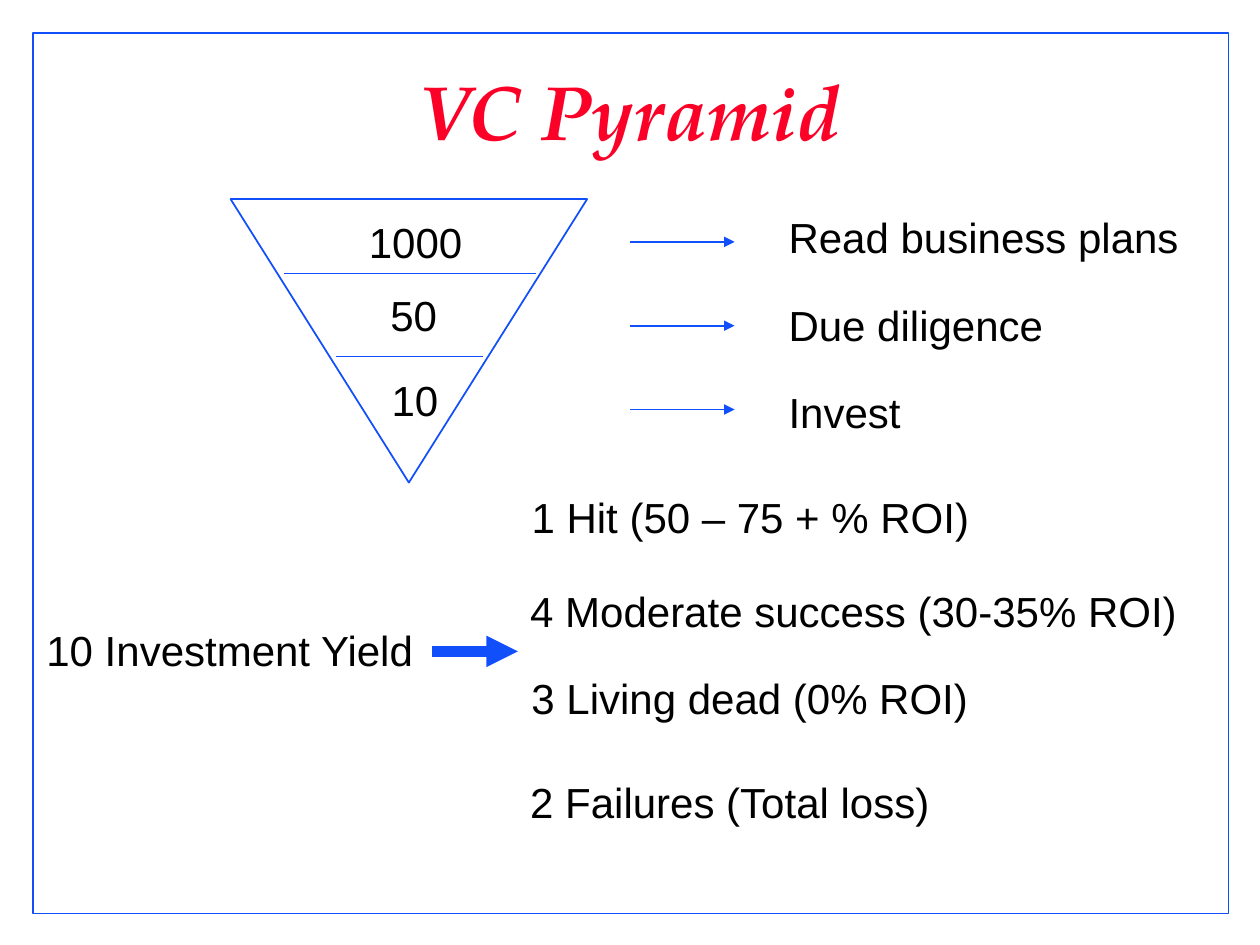
from dataclasses import dataclass

from pptx import Presentation
from pptx.dml.color import RGBColor
from pptx.enum.shapes import MSO_CONNECTOR as Conn, MSO_SHAPE as Shape
from pptx.enum.text import MSO_ANCHOR as Anchor, PP_ALIGN as Align
from pptx.oxml.xmlchemy import OxmlElement
from pptx.util import Inches, Pt


@dataclass(frozen=True)
class Theme:
    blue: RGBColor = RGBColor(0x11, 0x4F, 0xFB)
    red: RGBColor = RGBColor(0xFC, 0x01, 0x28)
    black: RGBColor = RGBColor(0, 0, 0)
    white: RGBColor = RGBColor(255, 255, 255)
    body_font: str = "Arial"
    title_font: str = "TeX Gyre Pagella"
    body_size: int = 24
    title_size: int = 44
    thin: int = 1
    thick: int = 6


@dataclass(frozen=True)
class Label:
    text: str
    left: float
    top: float
    width: float


@dataclass(frozen=True)
class Rule:
    """A horizontal line, with or without an arrowhead at its right end."""
    left: float
    right: float
    y: float
    width: int = Theme.thin
    arrow: bool = False


THEME = Theme()
STAGE_LEFT, STAGE_TOP, STAGE_STEP = 6.16, 1.63, 0.695
ARROW_TOP, ARROW_STEP = 1.92, 0.665

COUNTS = [
    Label("1000", 2.83, 1.67, 1.17),
    Label("50", 3, 2.25, 0.83),
    Label("10", 3.01, 2.92, 0.83),
]
STAGES = [
    Label(text, STAGE_LEFT, STAGE_TOP + i * STAGE_STEP, 3.42)
    for i, text in enumerate(["Read business plans", "Due diligence", "Invest"])
]
YIELDS = [
    Label("10 Investment Yield", 0.27, 4.91, 3.42),
    Label("1 Hit (50 – 75 + % ROI)", 4.12, 3.85, 4.38),
    Label("4 Moderate success (30-35% ROI)", 4.11, 4.6, 5.47),
    Label("3 Living dead (0% ROI)", 4.12, 5.29, 4.46),
    Label("2 Failures (Total loss)", 4.11, 6.11, 3.42),
]
DIVIDERS = [Rule(2.25, 4.25, 2.17), Rule(2.67, 3.83, 2.83)]
STAGE_ARROWS = [
    Rule(5, 5.83, ARROW_TOP + i * ARROW_STEP, arrow=True)
    for i in range(len(STAGES))
]
YIELD_ARROW = Rule(3.43, 4.11, 5.17, THEME.thick, arrow=True)


def add_text(s, text: str, left: float, top: float, width: float,
             height: float = 0.5, *, font: str = THEME.body_font,
             size: int = THEME.body_size, color: RGBColor = THEME.black,
             bold: bool = False, italic: bool = False,
             align: Align = Align.LEFT, anchor: Anchor = Anchor.TOP,
             spacing: float = 1.0) -> None:
    box = s.shapes.add_textbox(Inches(left), Inches(top),
                               Inches(width), Inches(height))
    tf = box.text_frame
    tf.word_wrap = True
    tf.vertical_anchor = anchor
    p = tf.paragraphs[0]
    p.alignment = align
    p.line_spacing = spacing
    r = p.add_run()
    r.text = text
    r.font.name = font
    r.font.size = Pt(size)
    r.font.color.rgb = color
    r.font.bold = bold
    r.font.italic = italic


def add_outline(s, kind: Shape, left: float, top: float,
                width: float, height: float, rotation: float = 0) -> None:
    sp = s.shapes.add_shape(kind, Inches(left), Inches(top),
                            Inches(width), Inches(height))
    sp.shadow.inherit = False
    sp.rotation = rotation
    sp.fill.solid()
    sp.fill.fore_color.rgb = THEME.white
    sp.line.color.rgb = THEME.blue
    sp.line.width = Pt(THEME.thin)


def add_rule(s, rule: Rule) -> None:
    y = Inches(rule.y)
    line = s.shapes.add_connector(Conn.STRAIGHT, Inches(rule.left), y,
                                  Inches(rule.right), y)
    line.line.color.rgb = THEME.blue
    line.line.width = Pt(rule.width)
    if rule.arrow:
        tail = OxmlElement("a:tailEnd")
        tail.set("type", "triangle")
        line.line._get_or_add_ln().append(tail)
    line._element.spPr.append(OxmlElement("a:effectLst"))


def main() -> None:
    prs = Presentation()
    prs.slide_width, prs.slide_height = Inches(10), Inches(7.5)
    s = prs.slides.add_slide(prs.slide_layouts[6])

    add_outline(s, Shape.RECTANGLE, 0.26, 0.26, 9.49, 6.99)
    add_text(s, "VC Pyramid", 0.21, 0.25, 9.58, 1.33, font=THEME.title_font,
             size=THEME.title_size, color=THEME.red, bold=True, italic=True,
             align=Align.CENTER, anchor=Anchor.MIDDLE, spacing=0.9)
    add_outline(s, Shape.ISOSCELES_TRIANGLE, 1.83, 1.58, 2.83, 2.25, rotation=180)

    for rule in [*DIVIDERS, *STAGE_ARROWS, YIELD_ARROW]:
        add_rule(s, rule)
    for label in [*COUNTS, *STAGES, *YIELDS]:
        add_text(s, label.text, label.left, label.top, label.width)

    prs.save("out.pptx")


if __name__ == "__main__":
    main()
